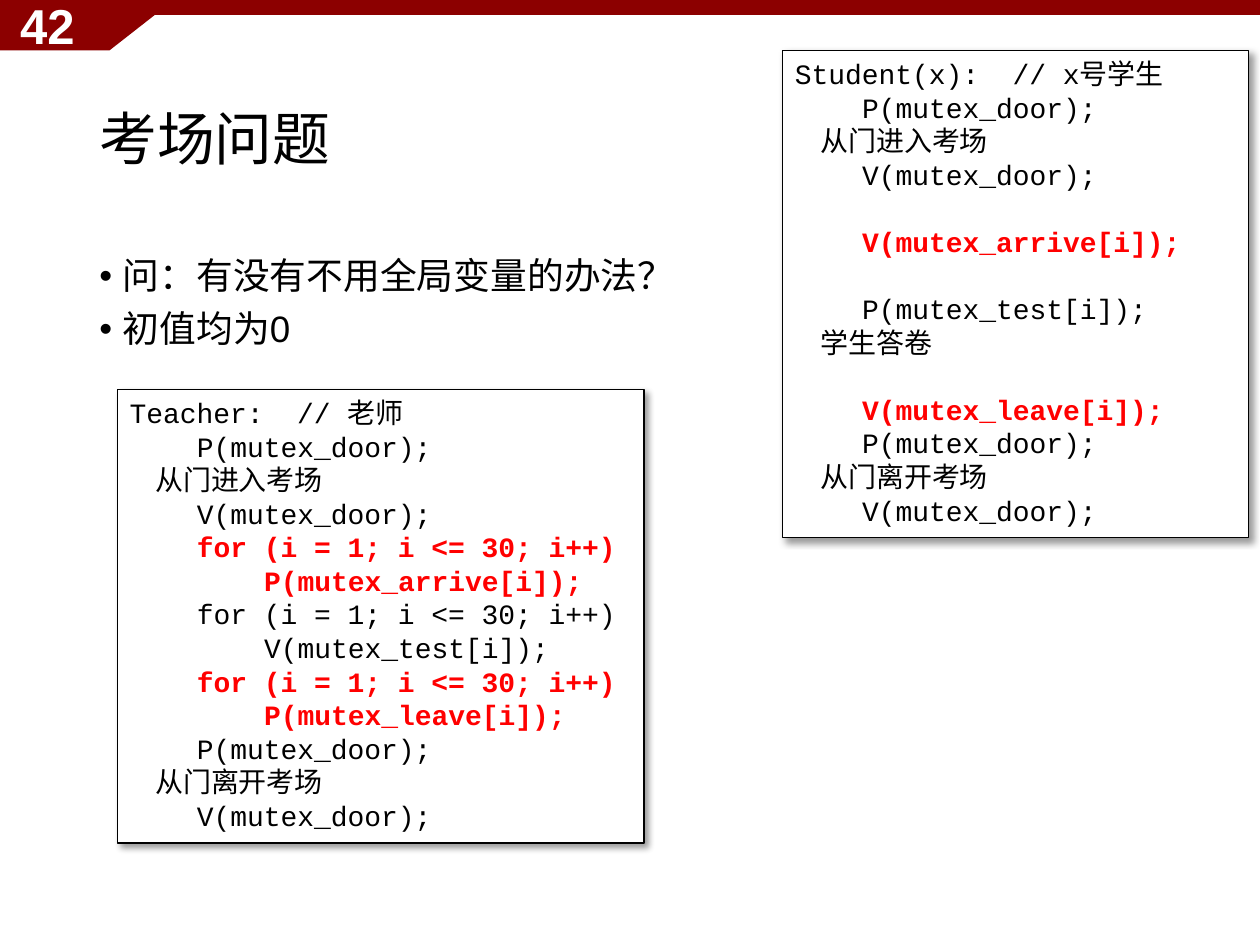
from typing import NamedTuple

from lxml.etree import SubElement
from pptx import Presentation
from pptx.dml.color import RGBColor
from pptx.enum.shapes import MSO_SHAPE
from pptx.enum.text import MSO_ANCHOR, PP_ALIGN
from pptx.oxml.ns import qn
from pptx.util import Pt

COLORS = {"band": "8C0000", "ink": "000000", "paper": "FFFFFF", "hot": "FF0000"}
TAB = 38.4  # four code characters
HAN = 14.6  # indent of a line in Chinese
PITCH = 19.2


class Box(NamedTuple):
    left: float
    top: float
    width: float
    height: float


class Line(NamedTuple):
    text: str
    indent: float = TAB
    hot: bool = False
    gap: float = 0


class Panel(NamedTuple):
    box: Box
    lines: list[Line]


ENTER = [Line("P(mutex_door);"), Line("从门进入考场", HAN), Line("V(mutex_door);")]
LEAVE = [Line("P(mutex_door);"), Line("从门离开考场", HAN), Line("V(mutex_door);")]


def loop(call: str, hot: bool) -> list[Line]:
    return [Line("for (i = 1; i <= 30; i++)", TAB, hot), Line(call, 2 * TAB, hot)]


PANELS = [
    Panel(Box(67, 222.5, 301, 259.2), [
        Line("Teacher:  // 老师", 0),
        *ENTER,
        *loop("P(mutex_arrive[i]);", True),
        *loop("V(mutex_test[i]);", False),
        *loop("P(mutex_leave[i]);", True),
        *LEAVE,
    ]),
    Panel(Box(447.2, 28.8, 266.4, 278.6), [
        Line("Student(x):  // x号学生", 0),
        *ENTER,
        Line("V(mutex_arrive[i]);", TAB, True, PITCH),
        Line("P(mutex_test[i]);", TAB, False, PITCH),
        Line("学生答卷", HAN),
        Line("V(mutex_leave[i]);", TAB, True, PITCH),
        *LEAVE,
    ]),
]


def tint(name: str) -> RGBColor:
    return RGBColor.from_string(COLORS[name])


def paint(shape, name: str) -> None:
    """Give a flat fill with no outline and no shadow."""
    shape.shadow.inherit = False
    shape.fill.solid()
    shape.fill.fore_color.rgb = tint(name)
    shape.line.fill.background()


def write(para, text: str, font: str, size: float, color: str = "ink", bold: bool = False) -> None:
    run = para.add_run()
    run.text = text
    run.font.name, run.font.size, run.font.bold = font, Pt(size), bold
    run.font.color.rgb = tint(color)


def add_text(slide, box: Box, anchor: MSO_ANCHOR):
    frame = slide.shapes.add_textbox(*map(Pt, box)).text_frame
    frame.word_wrap = True
    frame.vertical_anchor = anchor
    return frame


def next_para(frame, index: int):
    return frame.add_paragraph() if index else frame.paragraphs[0]


def add_band(slide) -> None:
    form = slide.shapes.build_freeform(0, 0)
    corners = [(0, 28.8), (62.6, 28.8), (99.4, 0)]
    form.add_line_segments([(Pt(x), Pt(y)) for x, y in corners], close=True)
    paint(form.convert_to_shape(), "band")
    strip = slide.shapes.add_shape(MSO_SHAPE.RECTANGLE, 0, 0, Pt(720), Pt(8.6))
    paint(strip, "band")


def add_list(slide, box: Box, items: list[str]) -> None:
    frame = add_text(slide, box, MSO_ANCHOR.TOP)
    for i, item in enumerate(items):
        para = next_para(frame, i)
        para.line_spacing, para.space_before = 0.9, Pt(7.5)
        props = para._p.get_or_add_pPr()
        props.set("marL", str(Pt(13.5)))
        props.set("indent", str(-Pt(13.5)))
        SubElement(props, qn("a:buFont"), typeface="Arial")
        SubElement(props, qn("a:buChar"), char="•")
        write(para, item, "Arial", 21)


def add_shade(shape) -> None:
    """Cast a soft black shadow to the lower right."""
    shade = SubElement(shape._element.spPr.find(qn("a:effectLst")), qn("a:outerShdw"),
                       blurRad=str(Pt(4)), dist=str(Pt(3)), dir="2700000",
                       algn="tl", rotWithShape="0")
    color = SubElement(shade, qn("a:srgbClr"), val=COLORS["ink"])
    SubElement(color, qn("a:alpha"), val="40000")


def add_panel(slide, panel: Panel) -> None:
    shape = slide.shapes.add_shape(MSO_SHAPE.RECTANGLE, *map(Pt, panel.box))
    paint(shape, "paper")
    shape.line.color.rgb = tint("ink")
    shape.line.width = Pt(0.75)
    add_shade(shape)
    frame = shape.text_frame
    frame.word_wrap = True
    frame.vertical_anchor = MSO_ANCHOR.TOP
    for i, line in enumerate(panel.lines):
        para = next_para(frame, i)
        para.alignment = PP_ALIGN.LEFT
        para.line_spacing, para.space_before = Pt(PITCH), Pt(line.gap)
        para._p.get_or_add_pPr().set("marL", str(Pt(line.indent)))
        write(para, line.text, "Courier New", 16, "hot" if line.hot else "ink", line.hot)


def main() -> None:
    deck = Presentation()
    deck.slide_width, deck.slide_height = Pt(720), Pt(540)
    slide = deck.slides.add_slide(deck.slide_layouts[6])
    add_band(slide)

    title = add_text(slide, Box(49.7, 28.8, 620.6, 104.4), MSO_ANCHOR.MIDDLE).paragraphs[0]
    title.line_spacing = 0.9
    write(title, "考场问题", "Times New Roman", 33)

    add_list(slide, Box(49.7, 144, 620.6, 342.7),
             ["问：有没有不用全局变量的办法？", "初值均为0"])

    number = add_text(slide, Box(-1.4, 0, 51.1, 28.8), MSO_ANCHOR.MIDDLE).paragraphs[0]
    number.alignment = PP_ALIGN.RIGHT
    write(number, "42", "Arial", 28, "paper", True)

    for panel in PANELS:
        add_panel(slide, panel)
    deck.save("out.pptx")


if __name__ == "__main__":
    main()
